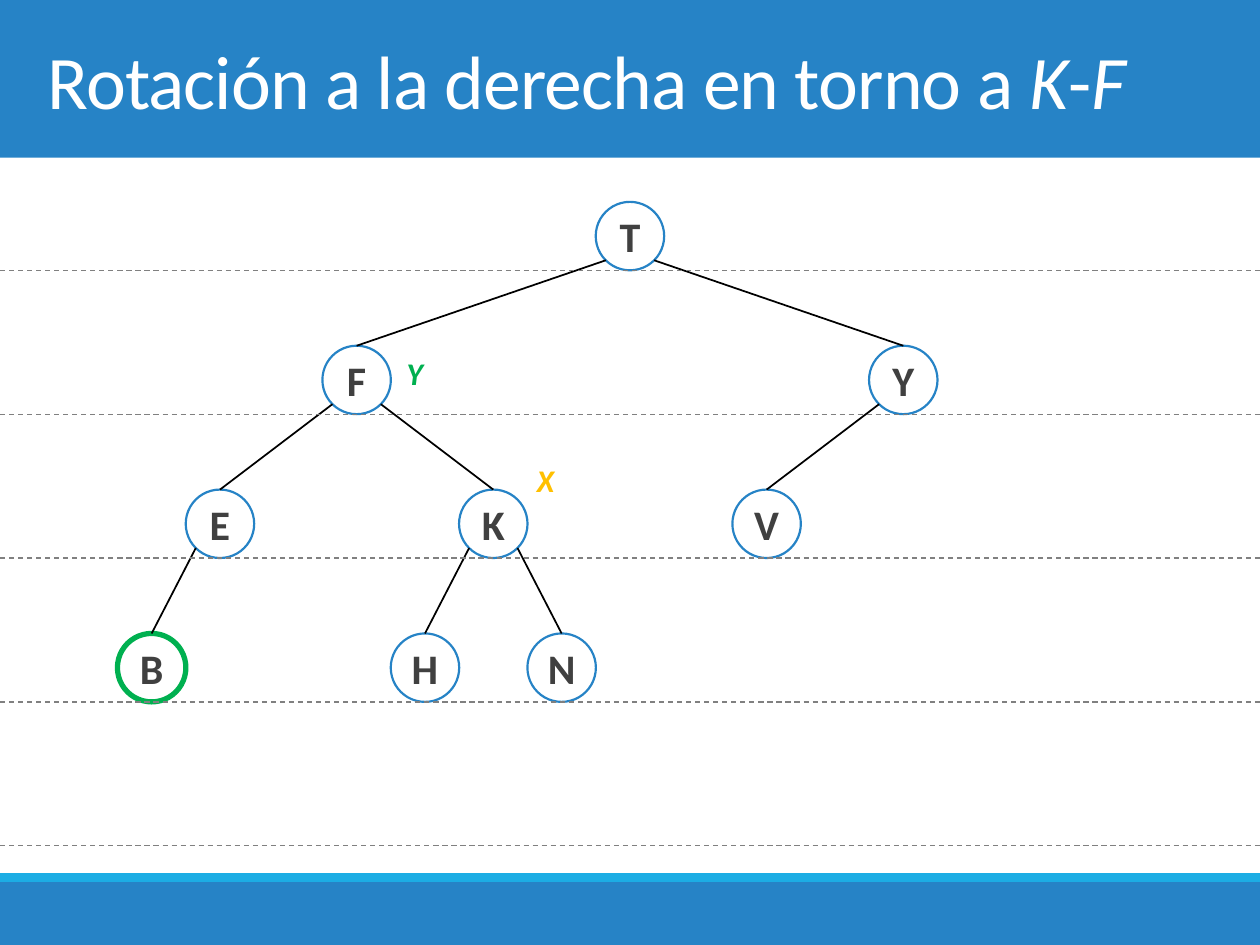
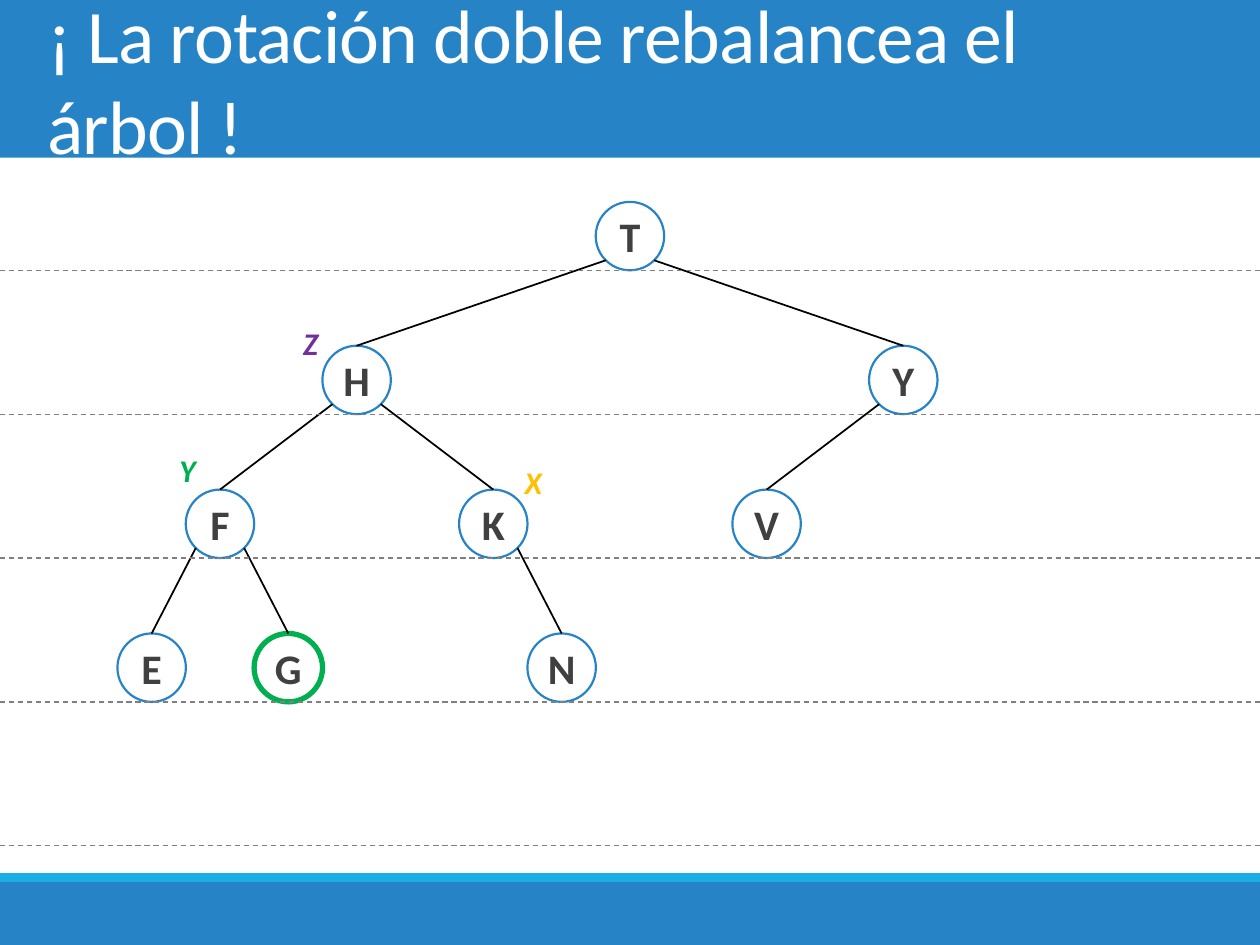
import math

from lxml import etree
from pptx import Presentation
from pptx import util as u
from pptx.dml.color import RGBColor
from pptx.enum import dml, shapes, text
from pptx.oxml.ns import qn

COLORS = {
    "band": "2683C6", "stripe": "1CADE4", "white": "FFFFFF", "key": "404040",
    "edge": "000000", "level": "808080", "green": "00B050",
    "yellow": "FFC000", "purple": "7030A0",
}
FONT = "Calibri"
WIDTH, HEIGHT = u.Cm(25.4), u.Cm(19.05)
TITLE_BOX = (u.Cm(0.71), 0, u.Cm(24), u.Cm(3.18))
TREE_BOX = (u.Cm(1.68), u.Cm(4.07), u.Cm(22.04))  # left, top, width
DIAMETER = u.Cm(1.38)
LEVEL_PITCH = u.Cm(2.9)
LEVELS = 5

# Keys are numbered as in a heap: the children of n are 2n and 2n + 1.
# A mark is (node, letter, colour, dx, dy), offset in cm from the node's corner.
SLIDES = [
    {
        "title": [("Rotación a la derecha en torno a ", False), ("K", True),
                  ("-", False), ("F", True)],
        "keys": {1: "T", 2: "F", 3: "Y", 4: "E", 5: "K", 6: "V",
                 8: "B", 10: "H", 11: "N"},
        "highlight": 8,
        "marks": [(5, "X", "yellow", 1.32, -0.71), (2, "Y", "green", 1.45, 0.05)],
    },
    {
        "title": [("¡ La rotación doble rebalancea el árbol !", False)],
        "keys": {1: "T", 2: "H", 3: "Y", 4: "F", 5: "K", 6: "V",
                 8: "E", 9: "G", 11: "N"},
        "highlight": 9,
        "marks": [(5, "X", "yellow", 1.07, -0.66), (4, "Y", "green", -0.38, -0.91),
                  (2, "Z", "purple", -0.64, -0.56)],
    },
]


def rgb(name):
    return RGBColor.from_string(COLORS[name])


def write_text(frame, runs, size, color, bold=False, spacing=None,
               align=text.PP_ALIGN.LEFT, anchor=text.MSO_ANCHOR.TOP, wrap=True):
    """Fill a text frame with one paragraph of (text, italic) runs."""
    frame.word_wrap = wrap
    frame.vertical_anchor = anchor
    paragraph = frame.paragraphs[0]
    paragraph.alignment = align
    for content, italic in runs:
        run = paragraph.add_run()
        run.text = content
        font = run.font
        font.name, font.size = FONT, u.Pt(size)
        font.bold, font.italic = bold, italic
        font.color.rgb = rgb(color)
        if spacing is not None:
            run._r.get_or_add_rPr().set("spc", str(round(spacing * 100)))


def add_filled(slide, kind, box, fill, line=None, line_width=1.25):
    shape = slide.shapes.add_shape(kind, *box)
    shape.shadow.inherit = False
    shape.fill.solid()
    shape.fill.fore_color.rgb = rgb(fill)
    if line:
        shape.line.color.rgb = rgb(line)
        shape.line.width = u.Pt(line_width)
    else:
        shape.line.fill.background()
    return shape


def add_line(slide, start, end, color, width):
    connector = slide.shapes.add_connector(shapes.MSO_CONNECTOR.STRAIGHT, *start, *end)
    connector.line.color.rgb = rgb(color)
    connector.line.width = u.Pt(width)
    etree.SubElement(connector._element.spPr, qn("a:effectLst"))
    return connector


def add_bands(slide):
    rectangle = shapes.MSO_SHAPE.RECTANGLE
    footer, stripe = u.Cm(1.27), u.Cm(0.18)
    add_filled(slide, rectangle, (0, 0, WIDTH, TITLE_BOX[3]), "band")
    add_filled(slide, rectangle, (0, HEIGHT - footer, WIDTH, footer), "band")
    add_filled(slide, rectangle, (0, HEIGHT - footer - stripe, WIDTH, stripe), "stripe")


def add_title(slide, runs, box):
    title = slide.shapes.add_textbox(*box)
    write_text(title.text_frame, runs, 43.2, "white", spacing=-0.5,
               anchor=text.MSO_ANCHOR.MIDDLE)


def node_corner(number, box):
    """Left and top of a node: each level divides the box into equal slots."""
    left, top, width = box
    level = number.bit_length() - 1
    slots = 2 ** level
    center = left + width * (number - slots + 0.5) / slots
    return round(center - DIAMETER / 2), top + level * LEVEL_PITCH


def add_node(slide, key, corner, highlighted):
    line, width = ("green", 3) if highlighted else ("band", 1.25)
    node = add_filled(slide, shapes.MSO_SHAPE.OVAL, (*corner, DIAMETER, DIAMETER),
                      "white", line, width)
    frame = node.text_frame
    frame.margin_left = frame.margin_right = frame.margin_top = frame.margin_bottom = 0
    write_text(frame, [(key, False)], 24, "key", bold=True,
               align=text.PP_ALIGN.CENTER, anchor=text.MSO_ANCHOR.MIDDLE)
    return node


def add_edge(slide, parent, child, side):
    """Join the parent's lower diagonal (side -1 left, 1 right) to the child's top."""
    radius = DIAMETER / 2
    reach = radius * math.sqrt(0.5)
    start = (round(parent.left + radius + side * reach),
             round(parent.top + radius + reach))
    edge = add_line(slide, start, (child.left, child.top), "edge", 1)
    edge.end_connect(child, 0)


def add_tree(slide, keys, highlight, box):
    nodes = {number: add_node(slide, key, node_corner(number, box), number == highlight)
             for number, key in keys.items()}
    for number, node in nodes.items():
        if number > 1:
            add_edge(slide, nodes[number // 2], node, 1 if number % 2 else -1)


def add_level_lines(slide, top):
    for level in range(LEVELS):
        y = top + DIAMETER + level * LEVEL_PITCH
        line = add_line(slide, (0, y), (WIDTH, y), "level", 0.75)
        line.line.dash_style = dml.MSO_LINE.DASH


def add_marks(slide, marks, box):
    for number, letter, color, dx, dy in marks:
        left, top = node_corner(number, box)
        mark = slide.shapes.add_textbox(left + u.Cm(dx), top + u.Cm(dy),
                                        u.Cm(0.85), u.Cm(1.02))
        write_text(mark.text_frame, [(letter, True)], 18, color, bold=True, wrap=False)


def add_tree_slide(presentation, content):
    slide = presentation.slides.add_slide(presentation.slide_layouts[6])
    add_bands(slide)
    add_title(slide, content["title"], TITLE_BOX)
    add_tree(slide, content["keys"], content["highlight"], TREE_BOX)
    add_level_lines(slide, TREE_BOX[1])
    add_marks(slide, content["marks"], TREE_BOX)


def main():
    presentation = Presentation()
    presentation.slide_width, presentation.slide_height = WIDTH, HEIGHT
    for content in SLIDES:
        add_tree_slide(presentation, content)
    presentation.save("out.pptx")


if __name__ == "__main__":
    main()
